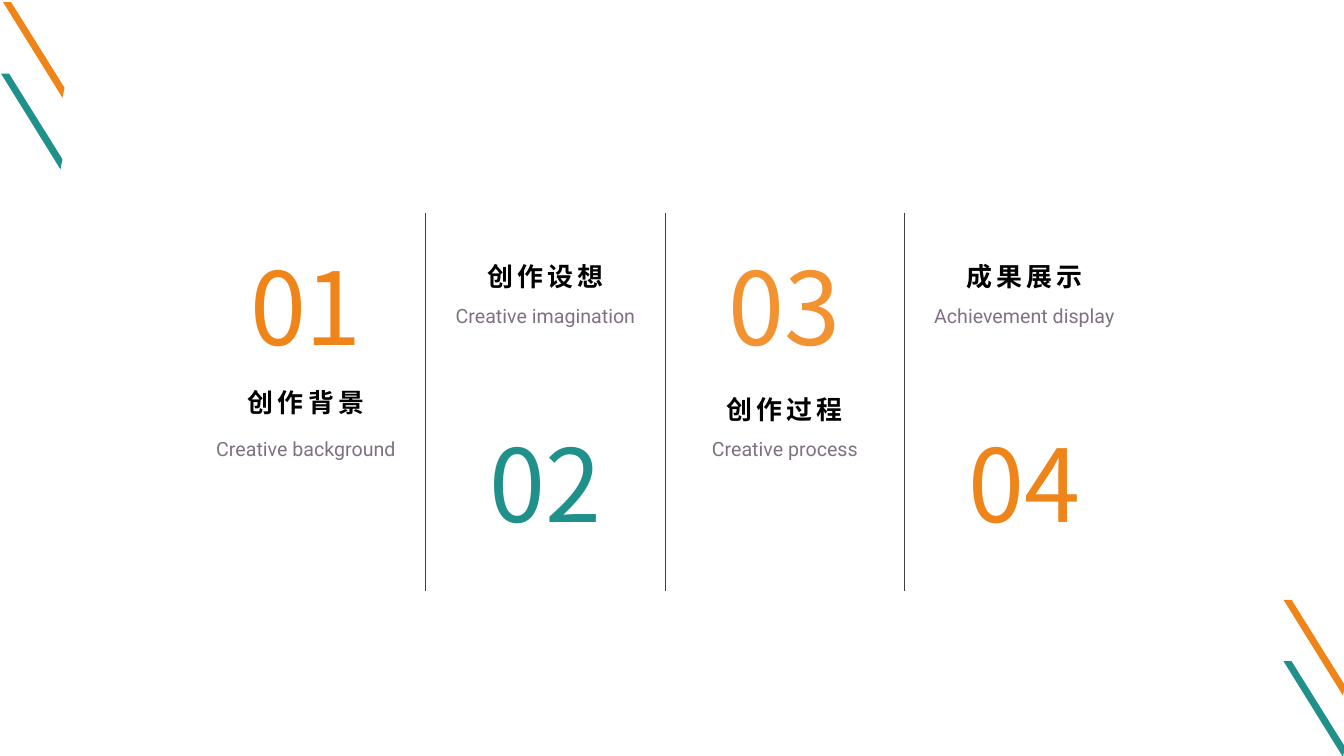
from dataclasses import dataclass
from typing import Any

from lxml.etree import SubElement
from pptx import Presentation
from pptx.dml.color import RGBColor
from pptx.enum.shapes import MSO_CONNECTOR
from pptx.enum.text import MSO_ANCHOR, PP_ALIGN
from pptx.oxml.ns import qn
from pptx.slide import Slide
from pptx.util import Inches, Pt


@dataclass(frozen=True)
class Theme:
    orange: str = "EF8519"
    light: str = "F39231"
    teal: str = "20908A"
    black: str = "000000"
    gray: str = "7E7182"
    rule: str = "404040"
    sans: str = "Noto Sans CJK SC"
    roman: str = "Roboto"
    large: float = 72
    mid: float = 18.5
    small: float = 14
    thin: float = 0.25


THEME = Theme()


@dataclass(frozen=True)
class Style:
    size: float
    font: str
    color: str
    bold: bool = False
    track: int = 0
    anchor: Any = MSO_ANCHOR.TOP
    base: float = 0.05


@dataclass(frozen=True)
class Topic:
    num: str
    title: str
    sub: str
    color: str
    num_top: float
    head_top: float
    sub_top: float
    lead: float = 1.2


@dataclass(frozen=True)
class Stripe:
    left: float
    top: float
    color: str


HEAD = Style(THEME.mid, THEME.sans, THEME.black, True, 300, MSO_ANCHOR.BOTTOM, 0)
SUB = Style(THEME.small, THEME.roman, THEME.gray)

TOPICS = (
    Topic("01", "创作背景", "Creative background", THEME.orange, 2.06, 3.72, 4.24, 1.1),
    Topic("02", "创作设想", "Creative imagination", THEME.teal, 3.81, 2.47, 2.92),
    Topic("03", "创作过程", "Creative process", THEME.light, 2.06, 3.79, 4.24),
    Topic("04", "成果展示", "Achievement display", THEME.orange, 3.81, 2.47, 2.92),
)
STRIPES = (
    Stripe(12.73, 5.95, THEME.orange),
    Stripe(0.01, 0.73, THEME.teal),
    Stripe(0.03, 0.02, THEME.orange),
    Stripe(12.73, 6.56, THEME.teal),
)
EDGE = ((0.08, 0), (0.61, 0.85), (0.59, 0.95))
LEFT, PITCH, WIDTH = 1.95, 2.375, 2.17
RULE_LEFT, RULE_TOP, RULE_END = 4.22, 2.11, 5.86


def apply(target: Any, values: dict[str, Any]) -> None:
    for name, value in values.items():
        setattr(target, name, value)


def add_text(slide: Slide, text: str, left: float, top: float, width: float,
             height: float, style: Style, lead: float = 1.2) -> None:
    box = slide.shapes.add_textbox(*map(Inches, (left, top, width, height)))
    frame = box.text_frame
    apply(frame, {
        "word_wrap": True,
        "vertical_anchor": style.anchor,
        "margin_bottom": Inches(style.base),
    })
    para = frame.paragraphs[0]
    apply(para, {"alignment": PP_ALIGN.CENTER, "line_spacing": lead})
    run = para.add_run()
    run.text = text
    apply(run.font, {"size": Pt(style.size), "name": style.font, "bold": style.bold})
    run.font.color.rgb = RGBColor.from_string(style.color)
    props = run._r.get_or_add_rPr()
    SubElement(props, qn("a:ea")).set("typeface", style.font)
    if style.track:
        props.set("spc", str(style.track))


def add_stripe(slide: Slide, stripe: Stripe) -> None:
    pen = slide.shapes.build_freeform(Inches(stripe.left), Inches(stripe.top))
    pen.add_line_segments(
        [(Inches(stripe.left + x), Inches(stripe.top + y)) for x, y in EDGE], close=True
    )
    shape = pen.convert_to_shape()
    shape.shadow.inherit = False
    shape.fill.solid()
    shape.fill.fore_color.rgb = RGBColor.from_string(stripe.color)
    shape.line.fill.background()


def add_rule(slide: Slide, left: float) -> None:
    rule = slide.shapes.add_connector(
        MSO_CONNECTOR.STRAIGHT, *map(Inches, (left, RULE_TOP, left, RULE_END))
    )
    rule.line.width = Pt(THEME.thin)
    rule.line.color.rgb = RGBColor.from_string(THEME.rule)
    SubElement(rule._element.spPr, qn("a:effectLst"))


def add_topic(slide: Slide, topic: Topic, left: float) -> None:
    style = Style(THEME.large, THEME.sans, topic.color, anchor=MSO_ANCHOR.MIDDLE)
    add_text(slide, topic.num, left + 0.06, topic.num_top, 2.05, 1.7, style)
    add_text(slide, topic.sub, left, topic.sub_top, WIDTH, 0.86, SUB)
    add_text(slide, topic.title, left, topic.head_top, WIDTH, 0.42, HEAD, topic.lead)


def main() -> None:
    deck = Presentation()
    apply(deck, {"slide_width": Inches(13.33), "slide_height": Inches(7.5)})
    slide = deck.slides.add_slide(deck.slide_layouts[6])
    for stripe in STRIPES:
        add_stripe(slide, stripe)
    for i in range(len(TOPICS) - 1):
        add_rule(slide, RULE_LEFT + i * PITCH)
    for i, topic in enumerate(TOPICS):
        add_topic(slide, topic, LEFT + i * PITCH)
    deck.save("out.pptx")


if __name__ == "__main__":
    main()
